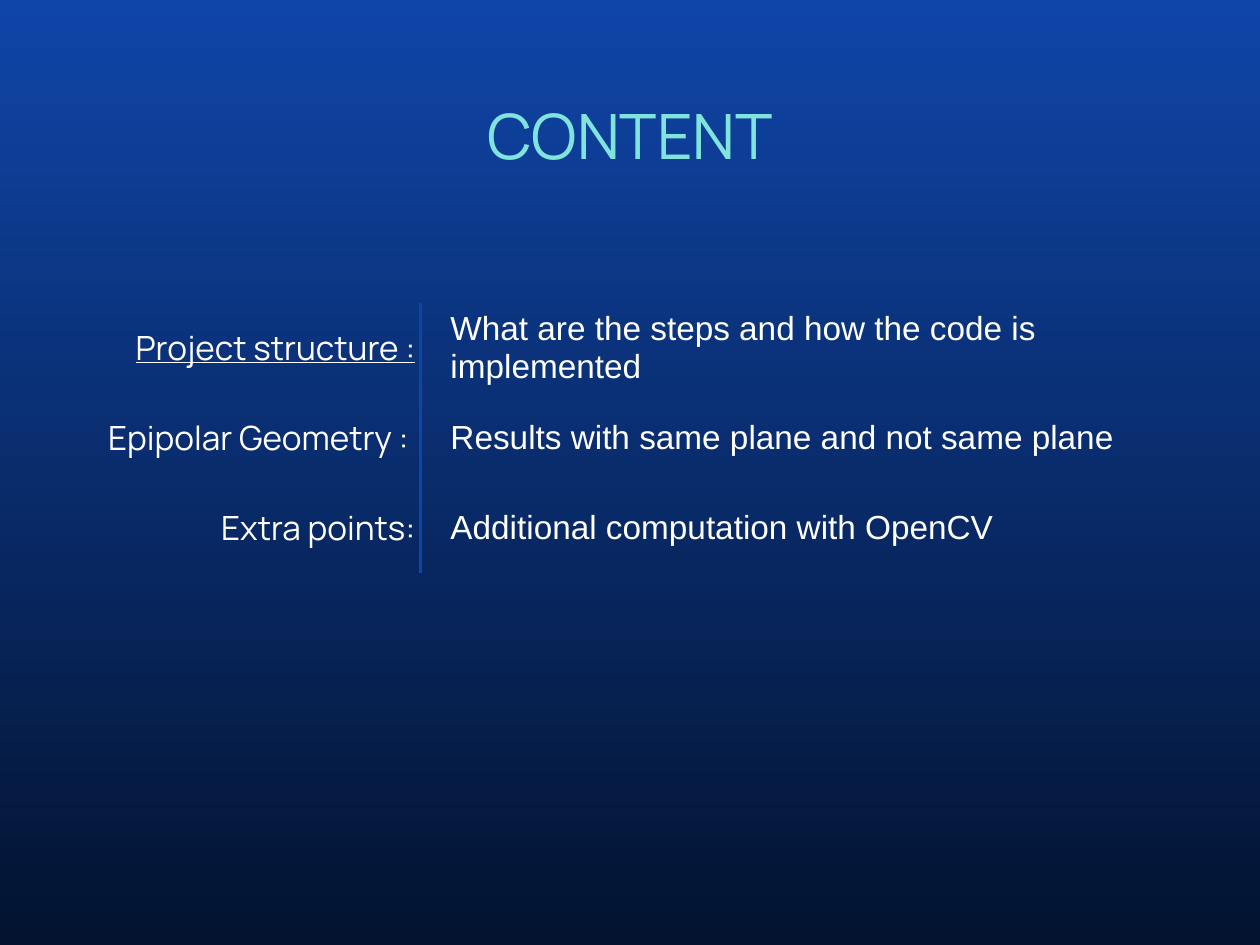
from lxml import etree
from pptx import Presentation
from pptx.dml.color import RGBColor
from pptx.enum import text
from pptx.oxml import ns
from pptx.util import Inches, Pt

TOPICS = [
    ("Project structure :", "What are the steps and how the code is implemented"),
    ("Epipolar Geometry : ", "Results with same plane and not same plane"),
    ("Extra points:", "Additional computation with OpenCV"),
]
PLAIN_TABLE = "{2D5ABB26-0587-4C30-8999-92F81FD0307C}"


def colour(code):
    return RGBColor.from_string(code)


class ContentSlide:
    BLUE, NAVY, AQUA, WHITE = "0F45A8", "031330", "80E4DC", "FFFFFF"
    HEADING_FONT, BODY_FONT = "Manrope", "Arial"
    LEFT, WIDTH = 0.86, 23.48

    def __init__(self, presentation):
        self.slide = presentation.slides.add_slide(presentation.slide_layouts[5])

    def format_paragraph(self, paragraph, name, size, code, align):
        paragraph.alignment = align
        paragraph.font.name = name
        paragraph.font.size = Pt(size)
        paragraph.font.color.rgb = colour(code)

    def background(self):
        fill = self.slide.background.fill
        fill.gradient()
        fill.gradient_angle = 270
        for stop, code in zip(fill.gradient_stops, (self.BLUE, self.NAVY)):
            stop.color.rgb = colour(code)

    def title(self, words):
        title = self.slide.shapes.title
        title.left, title.top = Inches(self.LEFT), Inches(1.64)
        title.width, title.height = Inches(self.WIDTH), Inches(2.1)
        frame = title.text_frame
        frame.text = words
        frame.auto_size = text.MSO_AUTO_SIZE.NONE
        frame.vertical_anchor = text.MSO_ANCHOR.MIDDLE
        frame.margin_left = frame.margin_right = Inches(0.28)
        frame.margin_top = frame.margin_bottom = Inches(0.28)
        self.format_paragraph(frame.paragraphs[0], self.HEADING_FONT, 90,
                              self.AQUA, text.PP_ALIGN.CENTER)

    def border(self, cell, side):
        """Draw one cell border; side is lnL or lnR."""
        line = etree.Element(ns.qn(f"a:{side}"), w=str(Pt(6)))
        fill = etree.SubElement(line, ns.qn("a:solidFill"))
        etree.SubElement(fill, ns.qn("a:srgbClr"), val=self.BLUE)
        cell._tc.get_or_add_tcPr().insert(0, line)

    def cell(self, cell, words, name, align, left_margin):
        cell.text = words
        cell.fill.background()
        cell.vertical_anchor = text.MSO_ANCHOR.MIDDLE
        cell.margin_left = Inches(left_margin)
        cell.margin_right = cell.margin_top = cell.margin_bottom = Inches(0.1)
        paragraph = cell.text_frame.paragraphs[0]
        self.format_paragraph(paragraph, name, 48, self.WHITE, align)
        return paragraph

    def topic_table(self, topics):
        frame = self.slide.shapes.add_table(
            len(topics), 2, Inches(self.LEFT), Inches(6.06),
            Inches(self.WIDTH), Inches(1.8 * len(topics)))
        table = frame.table
        table.first_row = table.horz_banding = False
        table._tbl.tblPr.find(ns.qn("a:tableStyleId")).text = PLAIN_TABLE
        for column, width in zip(table.columns, (7.55, 15.93)):
            column.width = Inches(width)
        for index, (topic, detail) in enumerate(topics):
            topic_cell, detail_cell = table.rows[index].cells
            label = self.cell(topic_cell, topic, self.HEADING_FONT,
                              text.PP_ALIGN.RIGHT, 0.1)
            if index == 0:
                label.font.underline = True
            self.border(topic_cell, "lnR")
            description = self.cell(detail_cell, detail, self.BODY_FONT,
                                    text.PP_ALIGN.LEFT, 0.4)
            description.space_after = Pt(16)
            description._p.get_or_add_pPr().set("marL", str(Inches(0.2)))
            self.border(detail_cell, "lnL")


def main():
    presentation = Presentation()
    presentation.slide_width = Inches(25.2)
    presentation.slide_height = Inches(18.9)
    content = ContentSlide(presentation)
    content.background()
    content.title("CONTENT")
    content.topic_table(TOPICS)
    presentation.save("out.pptx")


if __name__ == "__main__":
    main()
